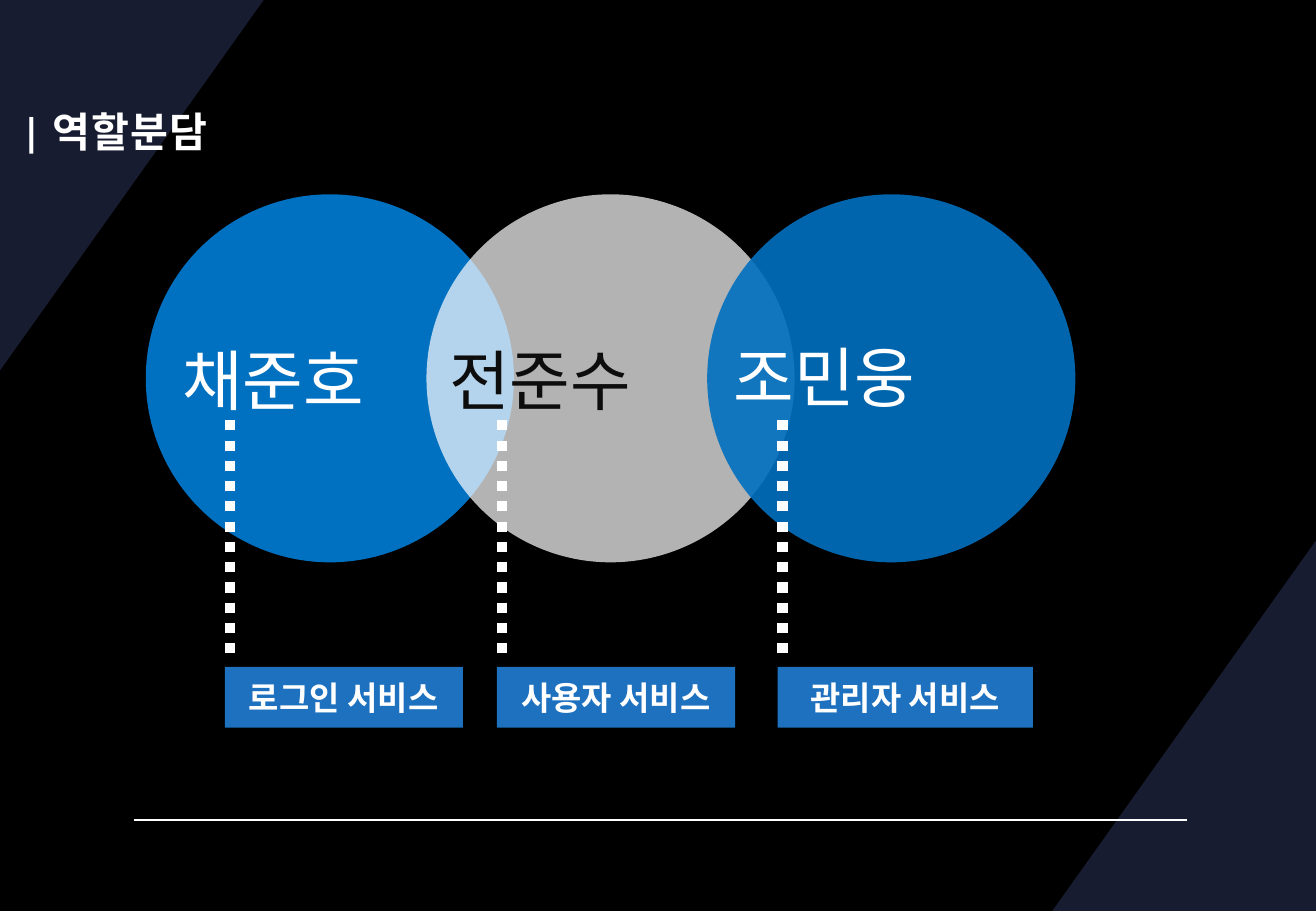
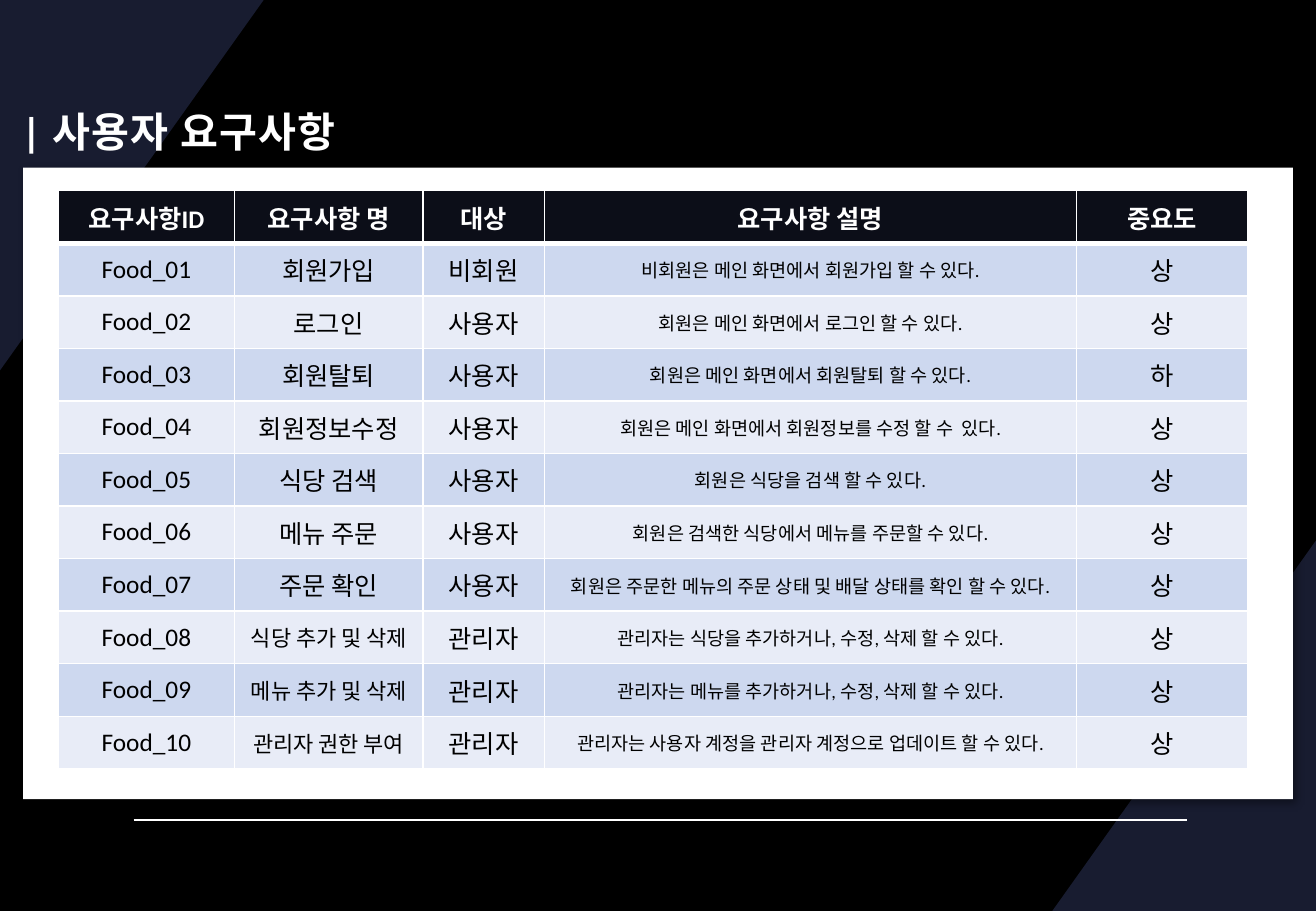
from lxml.etree import SubElement
from pptx import Presentation
from pptx.dml.color import RGBColor
from pptx.enum.dml import MSO_LINE
from pptx.enum.shapes import MSO_CONNECTOR, MSO_SHAPE
from pptx.enum.text import MSO_ANCHOR, MSO_AUTO_SIZE, PP_ALIGN
from pptx.oxml.ns import qn
from pptx.util import Inches, Pt

BLACK = RGBColor(0x00, 0x00, 0x00)
WHITE = RGBColor(0xFF, 0xFF, 0xFF)
INK = RGBColor(0x0D, 0x0D, 0x0D)
NAVY = RGBColor(0x18, 0x1C, 0x30)
BLUE = RGBColor(0x00, 0x70, 0xC0)
LABEL_BLUE = RGBColor(0x21, 0x7E, 0xD3)
HEADER_FILL = RGBColor(0x0C, 0x0E, 0x18)
ROW_FILLS = (RGBColor(0xCD, 0xD8, 0xEF), RGBColor(0xE8, 0xEC, 0xF7))

SLIDE_W, SLIDE_H = 10.83, 7.5
CORNER_W, CORNER_H = 2.17, 3.05
CORNERS = [
    [(0, CORNER_H), (0, 0), (CORNER_W, 0)],
    [(SLIDE_W, SLIDE_H - CORNER_H), (SLIDE_W, SLIDE_H), (SLIDE_W - CORNER_W, SLIDE_H)],
]

TITLE_FONT = {"size": Pt(24.4), "bold": True}
NAME_FONT = {"size": Pt(39)}
LABEL_FONT = {"size": Pt(19.5), "bold": True}

ROLES_TITLE = "| 역할분담"
# member, name colour, name left and top, circle colour, circle opacity,
# service, label left, label width
ROLES = [
    ("채준호", WHITE, 1.4, 2.75, BLUE, 100, "로그인 서비스", 1.85, 1.96),
    ("전준수", INK, 3.6, 2.75, WHITE, 70, "사용자 서비스", 4.09, 1.96),
    ("조민웅", WHITE, 5.94, 2.72, BLUE, 90, "관리자 서비스", 6.4, 2.1),
]
CIRCLE_LEFT, CIRCLE_TOP, CIRCLE_SIZE, CIRCLE_PITCH = 1.2, 1.6, 3.03, 2.31

NEEDS_TITLE = "| 사용자 요구사항"
NEEDS_HEADER = ("요구사항ID", "요구사항 명", "대상", "요구사항 설명", "중요도")
NEEDS_WIDTHS = (1.45, 1.55, 1, 4.38, 1.41)
NEEDS = [
    ("회원가입", "비회원", "비회원은 메인 화면에서 회원가입 할 수 있다.", "상"),
    ("로그인", "사용자", "회원은 메인 화면에서 로그인 할 수 있다.", "상"),
    ("회원탈퇴", "사용자", "회원은 메인 화면에서 회원탈퇴 할 수 있다.", "하"),
    ("회원정보수정", "사용자", "회원은 메인 화면에서 회원정보를 수정 할 수  있다.", "상"),
    ("식당 검색", "사용자", "회원은 식당을 검색 할 수 있다.", "상"),
    ("메뉴 주문", "사용자", "회원은 검색한 식당에서 메뉴를 주문할 수 있다.", "상"),
    ("주문 확인", "사용자", "회원은 주문한 메뉴의 주문 상태 및 배달 상태를 확인 할 수 있다.", "상"),
    ("식당 추가 및 삭제", "관리자", "관리자는 식당을 추가하거나, 수정, 삭제 할 수 있다.", "상"),
    ("메뉴 추가 및 삭제", "관리자", "관리자는 메뉴를 추가하거나, 수정, 삭제 할 수 있다.", "상"),
    ("관리자 권한 부여", "관리자", "관리자는 사용자 계정을 관리자 계정으로 업데이트 할 수 있다.", "상"),
]
NAME_COL, DESCRIPTION_COL = 1, 3
LONGEST_FULL_SIZE_NAME = 6


def write(frame, text, color, font_values, align=PP_ALIGN.LEFT):
    paragraph = frame.paragraphs[0]
    paragraph.alignment = align
    run = paragraph.add_run()
    run.text = text
    run.font.color.rgb = color
    for key, value in {"name": "Calibri", **font_values}.items():
        setattr(run.font, key, value)
    return run


def paint(shape, color, opacity=100):
    shape.shadow.inherit = False
    shape.fill.solid()
    shape.fill.fore_color.rgb = color
    shape.line.fill.background()
    if opacity < 100:
        tint = shape._element.spPr.find(qn("a:solidFill")).find(qn("a:srgbClr"))
        SubElement(tint, qn("a:alpha"), val=str(opacity * 1000))


def add_block(slide, preset, box, color, opacity=100):
    block = slide.shapes.add_shape(preset, *map(Inches, box))
    paint(block, color, opacity)
    return block


def add_line(slide, ends, weight, dash=None):
    line = slide.shapes.add_connector(MSO_CONNECTOR.STRAIGHT, *map(Inches, ends))
    line.line.color.rgb = WHITE
    line.line.width = Pt(weight)
    line.line.dash_style = dash
    SubElement(line._element.spPr, qn("a:effectLst"))


def add_themed_slide(prs):
    """Add a blank slide with the corner triangles and the footer rule."""
    slide = prs.slides.add_slide(prs.slide_layouts[6])
    slide.background.fill.solid()
    slide.background.fill.fore_color.rgb = BLACK
    for corner in CORNERS:
        first, *rest = [tuple(map(Inches, point)) for point in corner]
        builder = slide.shapes.build_freeform(*first)
        builder.add_line_segments(rest)
        paint(builder.convert_to_shape(), NAVY)
    add_line(slide, (1.1, 6.75, 9.77, 6.75), 1)
    return slide


def add_title(slide, text):
    frame = slide.shapes.add_textbox(*map(Inches, (0.08, 0.44, 8.8, 1.21))).text_frame
    frame.word_wrap = True
    frame.vertical_anchor = MSO_ANCHOR.MIDDLE
    frame.margin_top, frame.margin_bottom = Inches(0.1), Inches(0.08)
    frame.paragraphs[0].line_spacing = 1.1
    run = write(frame, text, WHITE, TITLE_FONT)
    run.font._element.set("spc", "70")


def add_panel_shadow(panel):
    effects = panel._element.spPr.find(qn("a:effectLst"))
    shadow = SubElement(effects, qn("a:outerShdw"), blurRad=str(Pt(5)), dist=str(Pt(3)),
                        dir=str(45 * 60000), algn="tl", rotWithShape="0")
    color = SubElement(shadow, qn("a:srgbClr"), val=str(BLACK))
    SubElement(color, qn("a:alpha"), val="40000")


def add_borders(cell, **weights):
    """Draw white cell borders; weights maps sides L, R, T, B to points."""
    properties = cell._tc.get_or_add_tcPr()
    for side, weight in weights.items():
        border = SubElement(properties, qn(f"a:ln{side}"), w=str(Pt(weight)))
        SubElement(SubElement(border, qn("a:solidFill")), qn("a:srgbClr"), val=str(WHITE))


def cell_size(row, col, text):
    if row and col == DESCRIPTION_COL:
        return 11
    if row and col == NAME_COL and len(text) > LONGEST_FULL_SIZE_NAME:
        return 13
    return 15


def build_roles(prs):
    slide = add_themed_slide(prs)
    for i, (_, _, _, _, color, opacity, *_) in enumerate(ROLES):
        box = (CIRCLE_LEFT + i * CIRCLE_PITCH, CIRCLE_TOP, CIRCLE_SIZE, CIRCLE_SIZE)
        add_block(slide, MSO_SHAPE.OVAL, box, color, opacity)
    for member, color, left, top, _, _, service, label_left, label_width in ROLES:
        name = slide.shapes.add_textbox(*map(Inches, (left, top, 2.18, 0.76))).text_frame
        name.word_wrap = True
        name.auto_size = MSO_AUTO_SIZE.SHAPE_TO_FIT_TEXT
        write(name, member, color, NAME_FONT)

        line_x = label_left + 0.04
        add_line(slide, (line_x, 3.46, line_x, 5.44), 6, MSO_LINE.ROUND_DOT)
        label = add_block(slide, MSO_SHAPE.RECTANGLE, (label_left, 5.49, label_width, 0.5),
                          LABEL_BLUE, 90).text_frame
        label.vertical_anchor = MSO_ANCHOR.MIDDLE
        write(label, service, WHITE, LABEL_FONT, PP_ALIGN.CENTER)
    add_title(slide, ROLES_TITLE)


def build_needs(prs):
    slide = add_themed_slide(prs)
    add_panel_shadow(add_block(slide, MSO_SHAPE.RECTANGLE, (0.19, 1.38, 10.45, 5.2), WHITE))
    add_title(slide, NEEDS_TITLE)

    rows = [NEEDS_HEADER]
    rows += [(f"Food_{number:02}", *need) for number, need in enumerate(NEEDS, 1)]
    box = map(Inches, (0.48, 1.57, sum(NEEDS_WIDTHS), 4.76))
    table = slide.shapes.add_table(len(rows), len(NEEDS_WIDTHS), *box).table
    for column, width in zip(table.columns, NEEDS_WIDTHS):
        column.width = Inches(width)
    for r, row in enumerate(rows):
        header = r == 0
        for c, text in enumerate(row):
            cell = table.cell(r, c)
            add_borders(cell, L=1, R=1, T=3 if r == 1 else 1, B=3 if header else 1)
            cell.fill.solid()
            cell.fill.fore_color.rgb = HEADER_FILL if header else ROW_FILLS[(r - 1) % 2]
            cell.vertical_anchor = MSO_ANCHOR.MIDDLE
            cell.margin_left = cell.margin_right = Inches(0.08)
            cell.margin_top = cell.margin_bottom = Inches(0.04)
            font_values = {"size": Pt(cell_size(r, c, text)), "bold": header}
            write(cell.text_frame, text, WHITE if header else BLACK, font_values,
                  PP_ALIGN.CENTER)


def main():
    prs = Presentation()
    prs.slide_width, prs.slide_height = Inches(SLIDE_W), Inches(SLIDE_H)
    build_roles(prs)
    build_needs(prs)
    prs.save("out.pptx")


if __name__ == "__main__":
    main()
